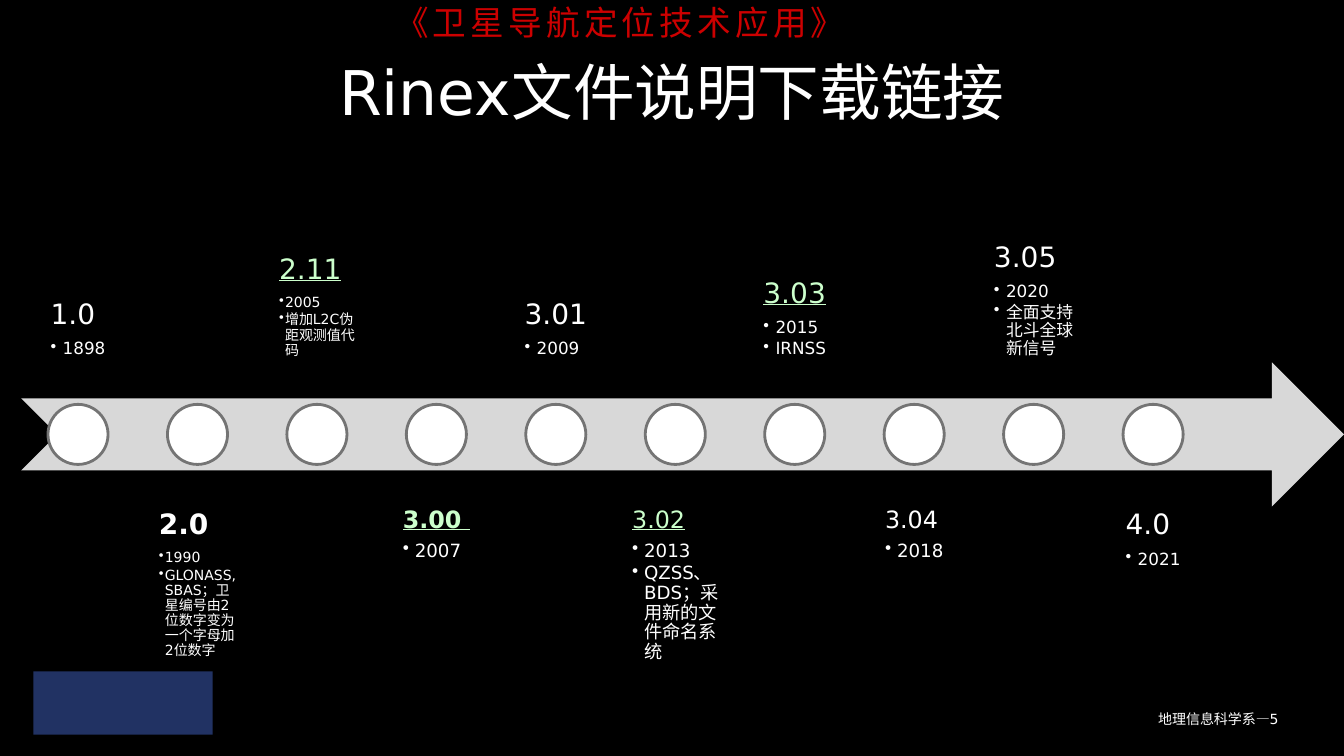
from dataclasses import dataclass
from pptx import Presentation
from pptx.dml.color import RGBColor
from pptx.enum.shapes import MSO_SHAPE as Preset
from pptx.enum.text import MSO_ANCHOR as Anchor, MSO_AUTO_SIZE as AutoSize, PP_ALIGN as Align
from pptx.oxml.ns import qn
from pptx.util import Inches, Pt
from lxml.etree import SubElement

WIDTH, HEIGHT = 13.33, 7.5
LATIN, HAN = "DejaVu Sans", "Noto Sans CJK SC"
WHITE, GREEN, RED = "FFFFFF", "CCFFCC", "CC0000"
LINKED = {"underline": True}

VERSIONS = [
    ("1.0", ["1898"], 20, 12, WHITE, {}),
    ("2.0", ["1990", "GLONASS, SBAS；卫星编号由2位数字变为一个字母加2位数字"], 20, 10, WHITE, {"bold": True}),
    ("2.11", ["2005", "增加L2C伪距观测值代码"], 20, 10, GREEN, LINKED),
    ("3.00 ", ["2007"], 17, 13, GREEN, {"bold": True, **LINKED}),
    ("3.01", ["2009"], 20, 12, WHITE, {}),
    ("3.02", ["2013", "QZSS、BDS；采用新的文件命名系统"], 17, 13, GREEN, LINKED),
    ("3.03", ["2015", "IRNSS"], 20, 12, GREEN, LINKED),
    ("3.04", ["2018"], 17, 13, WHITE, {}),
    ("3.05", ["2020", "全面支持北斗全球新信号"], 20, 12, WHITE, {}),
    ("4.0", ["2021"], 20, 12, WHITE, {}),
]


@dataclass
class Box:
    left: float
    top: float
    width: float
    height: float

    def area(self, x, y, w, h):
        return Box(self.left + x * self.width, self.top + y * self.height,
                   w * self.width, h * self.height)

    def inches(self):
        return [Inches(v) for v in (self.left, self.top, self.width, self.height)]


def color(hex_code):
    return RGBColor.from_string(hex_code)


def apply(target, values):
    for name, value in values.items():
        setattr(target, name, value)


def write(paragraph, text, size, hex_code, latin=LATIN, **style):
    run = paragraph.add_run()
    run.text = text
    apply(run.font, {"size": Pt(size), "name": latin, **style})
    run.font.color.rgb = color(hex_code)
    SubElement(run.font._element, qn("a:ea")).set("typeface", HAN)
    return run


def add_text_frame(slide, box, **values):
    frame = slide.shapes.add_textbox(*box.inches()).text_frame
    apply(frame, {"word_wrap": True, **values})
    return frame


def add_solid(slide, preset, box, fill, line=None, line_width=2):
    shape = slide.shapes.add_shape(preset, *box.inches())
    shape.shadow.inherit = False
    shape.fill.solid()
    shape.fill.fore_color.rgb = color(fill)
    if line:
        shape.line.color.rgb = color(line)
        shape.line.width = Pt(line_width)
    else:
        shape.line.fill.background()


def add_bullet(paragraph, hanging):
    properties = paragraph._p.get_or_add_pPr()
    properties.set("marL", str(Inches(hanging)))
    properties.set("indent", str(Inches(-hanging)))
    SubElement(properties, qn("a:buChar")).set("char", "•")


def add_course_name(slide, box):
    frame = add_text_frame(slide, box, auto_size=AutoSize.SHAPE_TO_FIT_TEXT)
    course = write(frame.paragraphs[0], "《卫星导航定位技术应用》", 24, RED, HAN)
    course.font._element.set("spc", "300")


def add_title(slide, box):
    title = slide.shapes.title
    apply(title, dict(zip(("left", "top", "width", "height"), box.inches())))
    apply(title.text_frame, {"vertical_anchor": Anchor.MIDDLE, "auto_size": AutoSize.NONE,
                             "word_wrap": True})
    heading = title.text_frame.paragraphs[0]
    heading.alignment = Align.CENTER
    write(heading, "Rinex文件说明下载链接", 44, WHITE)


def add_version(slide, box, anchor, label, notes, label_size, note_size, label_color, style):
    inset = Inches(0.16 if label_size == 20 else 0.13)
    sides = ("margin_left", "margin_top", "margin_right", "margin_bottom")
    frame = add_text_frame(slide, box, vertical_anchor=anchor, **dict.fromkeys(sides, inset))
    frame._txBody.bodyPr.set("anchorCtr", "1")
    number = frame.paragraphs[0]
    apply(number, {"line_spacing": 0.9, "space_after": Pt(0.35 * label_size)})
    write(number, label, label_size, label_color, **style)
    for note in notes:
        detail = frame.add_paragraph()
        apply(detail, {"level": 1, "line_spacing": 0.9, "space_after": Pt(0.15 * note_size)})
        add_bullet(detail, 0.06 if note_size == 10 else 0.12)
        write(detail, note, note_size, WHITE)


def add_timeline(slide, box):
    add_solid(slide, Preset.NOTCHED_RIGHT_ARROW, box.area(0, 0.38, 1, 0.24), "D8D8D8")
    column_share, gap_ratio = 0.086, 1.05
    for index, version in enumerate(VERSIONS):
        column = box.area(index * column_share * gap_ratio, 0, column_share, 1)
        above = index % 2 == 0
        add_version(slide, column.area(0, 0 if above else 0.6, 1, 0.4),
                    Anchor.BOTTOM if above else Anchor.TOP, *version)
        diameter = 0.1 * column.height
        marker_share = diameter / column.width
        marker = column.area((1 - marker_share) / 2, 0.45, marker_share, 0.1)
        add_solid(slide, Preset.OVAL, marker, WHITE, "747474")


def add_footer(slide, badge_box, department_box):
    add_solid(slide, Preset.RECTANGLE, badge_box, "213263")
    department = add_text_frame(slide, department_box).paragraphs[0]
    department.alignment = Align.RIGHT
    write(department, "地理信息科学系—5", 10, WHITE)


def main():
    deck = Presentation()
    apply(deck, {"slide_width": Inches(WIDTH), "slide_height": Inches(HEIGHT)})
    slide = deck.slides.add_slide(deck.slide_layouts[5])
    slide.background.fill.solid()
    slide.background.fill.fore_color.rgb = color("000000")
    page = Box(0, 0, WIDTH, HEIGHT)
    add_footer(slide, Box(0.33, 6.66, 1.78, 0.63), Box(7.11, 7, 5.67, 0.33))
    add_course_name(slide, Box(3.82, -0.03, 8.09, 0.5))
    add_title(slide, Box(0, 0.47, page.width, 0.86))
    add_timeline(slide, Box(0.21, 1.33, 13.12, 5.96))
    deck.save("out.pptx")


if __name__ == "__main__":
    main()
